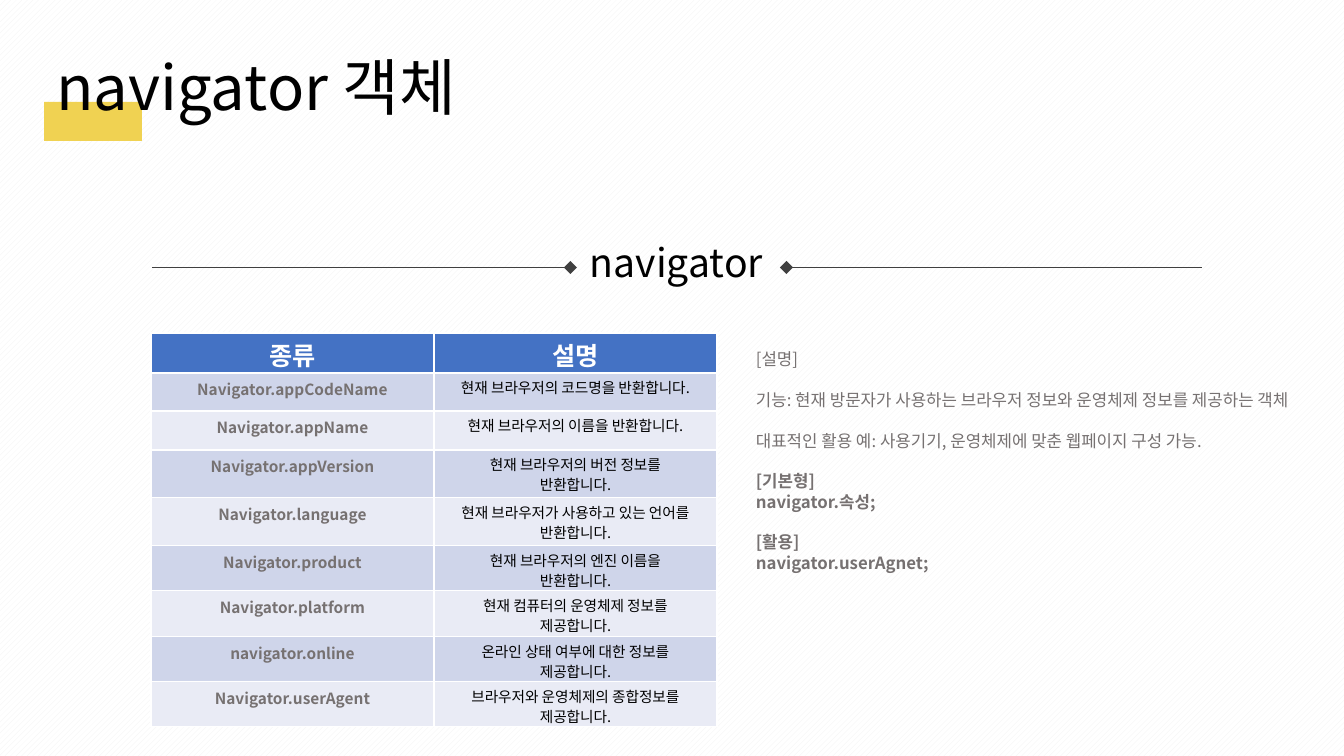
from lxml.etree import SubElement
from pptx import Presentation
from pptx.dml.color import RGBColor
from pptx.enum.dml import MSO_PATTERN
from pptx.enum.shapes import MSO_CONNECTOR, MSO_SHAPE
from pptx.enum.text import MSO_ANCHOR, MSO_AUTO_SIZE, PP_ALIGN
from pptx.oxml.ns import qn
from pptx.util import Pt

SCALE = 914400 / 100.8
FONT = "Noto Sans CJK KR"
BLACK = RGBColor(0x00, 0x00, 0x00)
WHITE = RGBColor(0xFF, 0xFF, 0xFF)
PALE = RGBColor(0xF2, 0xF2, 0xF2)
GRAY = RGBColor(0x76, 0x71, 0x71)
DARK = RGBColor(0x40, 0x40, 0x40)
YELLOW = RGBColor(0xF0, 0xD2, 0x52)
BLUE = RGBColor(0x44, 0x72, 0xC4)
BANDS = (RGBColor(0xCF, 0xD5, 0xEA), RGBColor(0xE9, 0xEB, 0xF5))

LEFT = {"alignment": PP_ALIGN.LEFT}
MID = {"alignment": PP_ALIGN.CENTER}
TIGHT = {"line_spacing": 0.9}
HEAD = {"size": Pt(18), "bold": True}
NAME = {"size": Pt(11), "bold": True}
DESC = {"size": Pt(10.5), "bold": False}

HEIGHTS = (40, 38, 39, 48, 48, 45, 46, 45, 45)
ROWS = (
    ("종류", "설명"),
    ("Navigator.appCodeName", "현재 브라우저의 코드명을 반환합니다."),
    ("Navigator.appName", "현재 브라우저의 이름을 반환합니다."),
    ("Navigator.appVersion", "현재 브라우저의 버전 정보를\n반환합니다."),
    ("Navigator.language", "현재 브라우저가 사용하고 있는 언어를 반환합니다."),
    ("Navigator.product", "현재 브라우저의 엔진 이름을\n반환합니다."),
    ("Navigator.platform", "현재 컴퓨터의 운영체제 정보를\n제공합니다."),
    ("navigator.online", "온라인 상태 여부에 대한 정보를\n제공합니다."),
    ("Navigator.userAgent", "브라우저와 운영체제의 종합정보를\n제공합니다."),
)
NOTES = (
    ("[설명]", False),
    ("기능: 현재 방문자가 사용하는 브라우저 정보와 운영체제 정보를 제공하는 객체", False),
    ("대표적인 활용 예: 사용기기, 운영체제에 맞춘 웹페이지 구성 가능.", False),
    ("[기본형]\nnavigator.속성;", True),
    ("[활용]\nnavigator.userAgnet;", True),
)


def px(*nums):
    """Turn pixels into a list of EMU lengths."""
    return [round(num * SCALE) for num in nums]


def apply(item, vals):
    """Set every attribute in a dict on an object."""
    for key, val in vals.items():
        setattr(item, key, val)


def write(para, text, font, color, form):
    """Write one styled run into a paragraph."""
    apply(para, form)
    run = para.add_run()
    run.text = text
    apply(run.font, {"name": FONT, **font})
    run.font.color.rgb = color
    SubElement(run.font._rPr, qn("a:ea")).set("typeface", FONT)


def fill_text(frame, text, font, color, form):
    """Write each line of a text as a paragraph."""
    for num, line in enumerate(text.split("\n")):
        para = frame.add_paragraph() if num else frame.paragraphs[0]
        write(para, line, font, color, form)


def set_frame(frame, wrap=True):
    """Anchor a text frame at the top with a fixed size."""
    apply(frame, {"word_wrap": wrap, "auto_size": MSO_AUTO_SIZE.NONE,
                  "vertical_anchor": MSO_ANCHOR.TOP})
    return frame


def add_block(slide, kind, box, color):
    """Add a plain filled shape."""
    block = slide.shapes.add_shape(kind, *px(*box))
    block.shadow.inherit = False
    block.fill.solid()
    block.fill.fore_color.rgb = color
    block.line.fill.background()
    return block


def add_rule(slide, start, end, tip):
    """Add a thin rule with a diamond at its inner end."""
    rule = slide.shapes.add_connector(
        MSO_CONNECTOR.STRAIGHT, *px(start, 267, end, 267))
    rule.line.color.rgb = DARK
    rule.line.width = Pt(0.5)
    SubElement(rule._element.spPr, qn("a:effectLst"))
    add_block(slide, MSO_SHAPE.DIAMOND, (tip, 261, 13, 13), DARK)


def add_title(slide, text):
    """Place the title over its yellow accent."""
    accent = add_block(slide, MSO_SHAPE.RECTANGLE, (44, 102, 98, 39), YELLOW)
    title = slide.shapes.title
    title._element.addprevious(accent._element)
    sides = ("left", "top", "width", "height")
    apply(title, dict(zip(sides, px(46, 52, 471, 85))))
    fill_text(set_frame(title.text_frame), text, {"size": Pt(44)}, BLACK,
              {**LEFT, **TIGHT})


def add_head(slide, text):
    """Add the centred section heading between the rules."""
    box = slide.shapes.add_textbox(*px(572, 239, 209, 57))
    fill_text(set_frame(box.text_frame), text, {"size": Pt(28)}, BLACK,
              {**MID, **TIGHT})


def add_notes(slide):
    """Add the explanation in spaced groups of lines."""
    box = slide.shapes.add_textbox(*px(746, 344, 567, 234))
    frame = set_frame(box.text_frame)
    para = frame.paragraphs[0]
    for num, (text, bold) in enumerate(NOTES):
        for row, line in enumerate(text.split("\n")):
            if num or row:
                para = frame.add_paragraph()
            gap = Pt(14.5) if num and not row else Pt(0)
            write(para, line, {"size": Pt(12), "bold": bold}, GRAY,
                  {**LEFT, "line_spacing": Pt(14.5), "space_before": gap})


def add_grid(slide):
    """Add the table of properties and their meanings."""
    box = px(151, 333, 566, sum(HEIGHTS))
    grid = slide.shapes.add_table(len(ROWS), 2, *box).table
    for row, texts in enumerate(ROWS):
        grid.rows[row].height = px(HEIGHTS[row])[0]
        for col, text in enumerate(texts):
            cell = grid.cell(row, col)
            cell.fill.solid()
            cell.fill.fore_color.rgb = BANDS[(row - 1) % 2] if row else BLUE
            apply(cell, {"margin_top": px(5 if row else 3)[0],
                         "margin_bottom": 0})
            if not row:
                look = HEAD, WHITE, MID
            elif col:
                look = DESC, BLACK, {**MID, "line_spacing": 0.94}
            else:
                look = NAME, GRAY, MID
            fill_text(cell.text_frame, text, *look)


def main():
    """Build and save the slide."""
    deck = Presentation()
    deck.slide_width, deck.slide_height = px(1344, 756)
    slide = deck.slides.add_slide(deck.slide_layouts[5])
    fill = slide.background.fill
    fill.patterned()
    fill.pattern = MSO_PATTERN.WIDE_UPWARD_DIAGONAL
    fill.fore_color.rgb = PALE
    fill.back_color.rgb = WHITE
    add_title(slide, "navigator 객체")
    add_notes(slide)
    add_rule(slide, 152, 566, 564)
    add_rule(slide, 792, 1202, 780)
    add_head(slide, "navigator")
    add_grid(slide)
    deck.save("out.pptx")


main()
